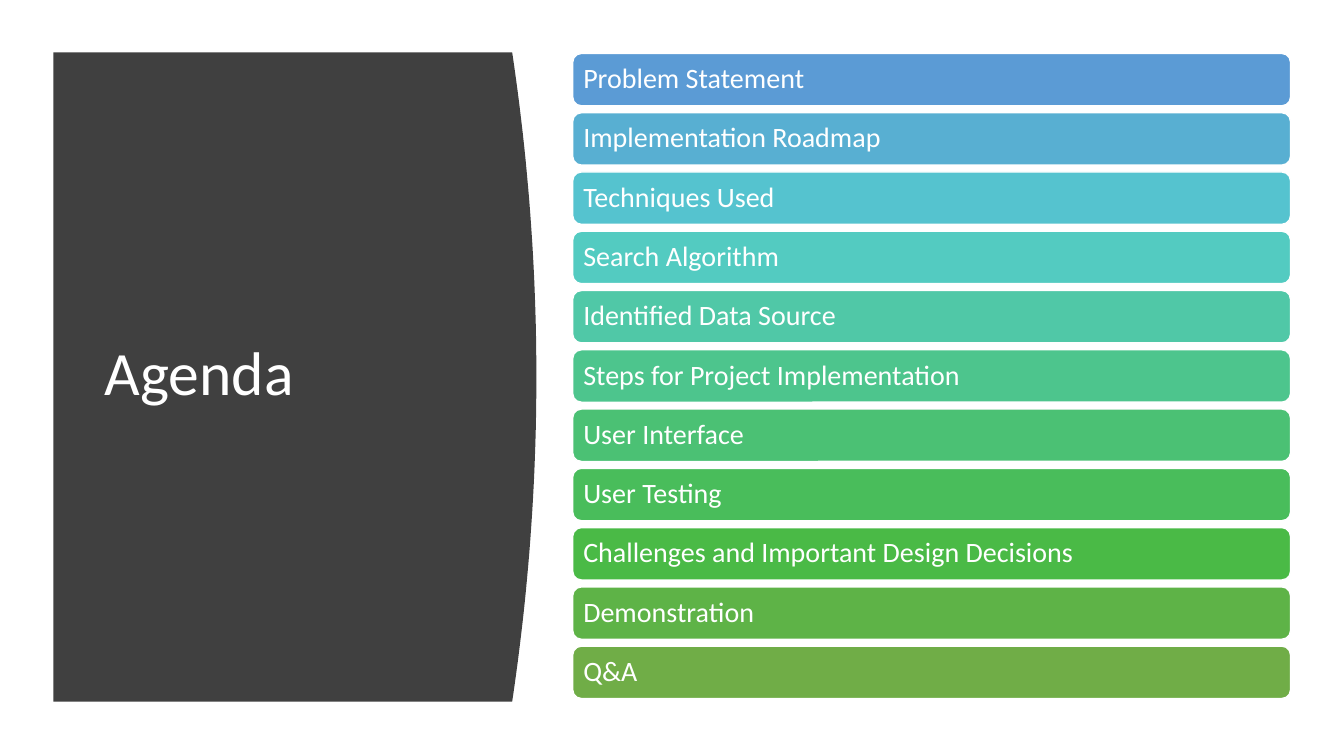
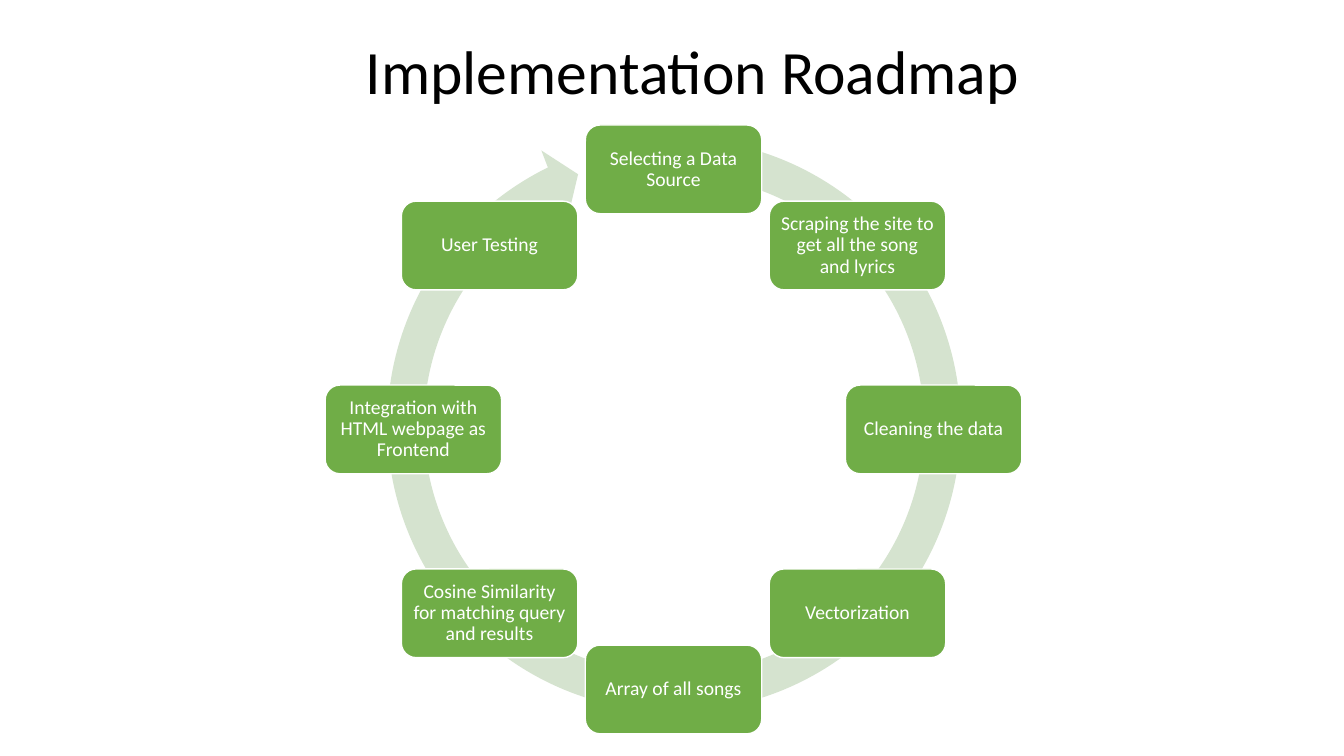
import math
from dataclasses import dataclass

import pptx
import pptx.dml.color
import pptx.enum.shapes
import pptx.enum.text
import pptx.util

Inches = pptx.util.Inches
Align = pptx.enum.text.PP_ALIGN
Preset = pptx.enum.shapes.MSO_SHAPE

# Shared look
FONT = "Calibri"
COLOURS = {
    "white": "FFFFFF",
    "black": "000000",
    "panel": "404040",
    "green": "70AD47",
    "ring": "D5E3CF",
}
TITLE_SIZE = 44


@dataclass
class Box:
    left: float
    top: float
    width: float
    height: float

    def lengths(self) -> list:
        return [Inches(v) for v in (self.left, self.top, self.width, self.height)]


@dataclass
class TextStyle:
    size: int
    colour: str
    align: Align = Align.LEFT
    inset: tuple = (0.1, 0.05)  # horizontal, vertical


@dataclass
class AgendaItem:
    text: str
    fill: str


AGENDA = [
    AgendaItem("Problem Statement", "5B9BD5"),
    AgendaItem("Implementation Roadmap", "58AFD2"),
    AgendaItem("Techniques Used", "55C3CF"),
    AgendaItem("Search Algorithm", "53CBC1"),
    AgendaItem("Identified Data Source", "50C8A7"),
    AgendaItem("Steps for Project Implementation", "4DC58D"),
    AgendaItem("User Interface", "4BC174"),
    AgendaItem("User Testing", "49BD5B"),
    AgendaItem("Challenges and Important Design Decisions", "4ABA46"),
    AgendaItem("Demonstration", "5EB347"),
    AgendaItem("Q&A", COLOURS["green"]),
]
AGENDA_BAR = Box(5.68, 0.53, 7.12, 0.52)
AGENDA_LAST_TOP = 6.41
AGENDA_STYLE = TextStyle(20, COLOURS["white"], inset=(0.08, 0.08))

# Clockwise from the top of the ring
STEPS = [
    "Selecting a Data Source",
    "Scraping the site to get all the song and lyrics",
    "Cleaning the data",
    "Vectorization",
    "Array of all songs",
    "Cosine Similarity for matching query and results",
    "Integration with HTML webpage as Frontend",
    "User Testing",
]
STEP_WIDTH, STEP_HEIGHT = 1.75, 0.88
STEP_STYLE = TextStyle(14, COLOURS["white"], Align.CENTER, (0.06, 0.06))
CYCLE_X, CYCLE_Y, CYCLE_RADIUS = 6.68, 4.26, 2.58
RING = Box(3.66, 1.19, 6.05, 6.05)
RING_ADJUSTMENTS = [0.06, 3.31, 146.13, 168.95, 0.06]

PANEL = Box(0.53, 0.52, 4.55, 6.44)
PANEL_BULGE = 0.24
PANEL_SEGMENTS = 48


def rgb(colour: str) -> pptx.dml.color.RGBColor:
    return pptx.dml.color.RGBColor.from_string(colour)


def set_values(target, values: dict) -> None:
    for name, value in values.items():
        setattr(target, name, value)


def write_text(shape, text: str, style: TextStyle) -> None:
    across, down = (Inches(value) for value in style.inset)
    frame = shape.text_frame
    set_values(frame, {
        "word_wrap": True,
        "vertical_anchor": pptx.enum.text.MSO_ANCHOR.MIDDLE,
        "margin_left": across,
        "margin_right": across,
        "margin_top": down,
        "margin_bottom": down,
    })
    paragraph = frame.paragraphs[0]
    set_values(paragraph, {"alignment": style.align, "line_spacing": 0.9})
    run = paragraph.add_run()
    run.text = text
    set_values(run.font, {"name": FONT, "size": pptx.util.Pt(style.size)})
    run.font.color.rgb = rgb(style.colour)


def paint(shape, fill: str, outline: str | None = None) -> None:
    shape.shadow.inherit = False
    shape.fill.solid()
    shape.fill.fore_color.rgb = rgb(fill)
    if outline is None:
        shape.line.fill.background()
    else:
        shape.line.color.rgb = rgb(outline)
        shape.line.width = pptx.util.Pt(1)


def add_title(slide, text: str, box: Box, colour: str) -> None:
    shape = slide.shapes.add_textbox(*box.lengths())
    write_text(shape, text, TextStyle(TITLE_SIZE, colour))


def add_card(slide, text: str, box: Box, fill: str, style: TextStyle) -> None:
    shape = slide.shapes.add_shape(Preset.ROUNDED_RECTANGLE, *box.lengths())
    paint(shape, fill, COLOURS["white"])
    write_text(shape, text, style)


def add_panel(slide) -> None:
    """Draw the dark panel whose right edge bulges as a parabola."""
    points = [(PANEL.left, PANEL.top)]
    for index in range(PANEL_SEGMENTS + 1):
        share = index / PANEL_SEGMENTS
        bulge = PANEL_BULGE * (1 - (2 * share - 1) ** 2)
        points.append((PANEL.left + PANEL.width + bulge,
                       PANEL.top + PANEL.height * share))
    points.append((PANEL.left, PANEL.top + PANEL.height))
    corners = [(Inches(x), Inches(y)) for x, y in points]
    builder = slide.shapes.build_freeform(*corners[0])
    builder.add_line_segments(corners[1:], close=True)
    paint(builder.convert_to_shape(), COLOURS["panel"])


def build_agenda(slide) -> None:
    add_panel(slide)
    add_title(slide, "Agenda", Box(0.94, 1.11, 3.74, 5.24), COLOURS["white"])
    pitch = (AGENDA_LAST_TOP - AGENDA_BAR.top) / (len(AGENDA) - 1)
    for index, item in enumerate(AGENDA):
        box = Box(AGENDA_BAR.left, AGENDA_BAR.top + index * pitch,
                  AGENDA_BAR.width, AGENDA_BAR.height)
        add_card(slide, item.text, box, item.fill, AGENDA_STYLE)


def build_roadmap(slide) -> None:
    add_title(slide, "Implementation Roadmap", Box(3.53, 0.01, 9.5, 1.45),
              COLOURS["black"])
    # Ring behind the steps
    ring = slide.shapes.add_shape(Preset.CIRCULAR_ARROW, *RING.lengths())
    for index, value in enumerate(RING_ADJUSTMENTS):
        ring.adjustments[index] = value
    paint(ring, COLOURS["ring"])
    # Steps at equal angles
    for index, text in enumerate(STEPS):
        angle = math.tau * index / len(STEPS)
        box = Box(CYCLE_X + CYCLE_RADIUS * math.sin(angle) - STEP_WIDTH / 2,
                  CYCLE_Y - CYCLE_RADIUS * math.cos(angle) - STEP_HEIGHT / 2,
                  STEP_WIDTH, STEP_HEIGHT)
        add_card(slide, text, box, COLOURS["green"], STEP_STYLE)


def main() -> None:
    presentation = pptx.Presentation()
    set_values(presentation, {"slide_width": Inches(13.33),
                              "slide_height": Inches(7.5)})
    blank = presentation.slide_layouts[6]
    for build in (build_agenda, build_roadmap):
        build(presentation.slides.add_slide(blank))
    presentation.save("out.pptx")


if __name__ == "__main__":
    main()
